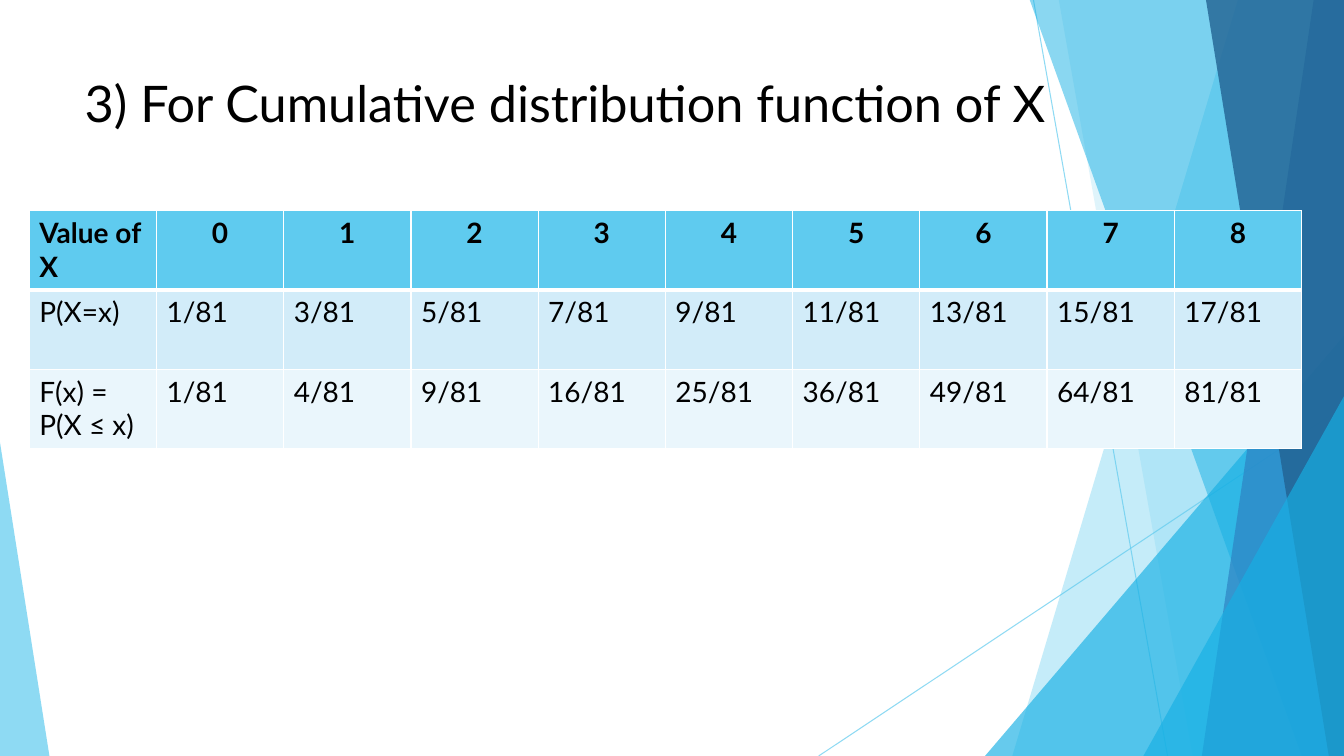
from lxml.etree import SubElement
from pptx import Presentation
from pptx.dml.color import RGBColor
from pptx.enum.shapes import MSO_CONNECTOR, MSO_SHAPE
from pptx.enum.text import MSO_ANCHOR, MSO_AUTO_SIZE, PP_ALIGN
from pptx.oxml.ns import qn
from pptx.util import Inches, Pt

COLORS = {
    "sky": "5FCBEF", "cyan": "17B0E4", "blue": "2E83C3", "navy": "226292",
    "band": "D2ECF9", "pale": "EAF6FC", "white": "FFFFFF", "text": "000000",
}
WIDTH, HEIGHT = 13.33, 7.5


class SlideBuilder:
    def __init__(self, slide, font_name):
        self.slide = slide
        self.shapes = slide.shapes
        self.font_name = font_name

    def paint(self, fill, color, alpha=100):
        fill.solid()
        fill.fore_color.rgb = RGBColor.from_string(COLORS[color])
        if alpha < 100:
            tint = fill._xPr.find(qn("a:solidFill"))[0]
            SubElement(tint, qn("a:alpha"), val=str(alpha * 1000))

    def style_text(self, paragraph, size, bold=False, align=PP_ALIGN.LEFT):
        paragraph.alignment = align
        font = paragraph.font
        font.name, font.size, font.bold = self.font_name, Pt(size), bold
        font.color.rgb = RGBColor.from_string(COLORS["text"])

    def finish(self, shape, color, alpha):
        self.paint(shape.fill, color, alpha)
        shape.line.fill.background()
        shape.shadow.inherit = False

    def ray(self, x1, y1, x2, y2):
        line = self.shapes.add_connector(
            MSO_CONNECTOR.STRAIGHT, *map(Inches, (x1, y1, x2, y2)))
        line.line.width = Pt(0.75)
        self.paint(line.line.fill, "sky", 70)
        SubElement(line.element.spPr, qn("a:effectLst"))

    def panel(self, top_x, bottom_x, color, alpha):
        """Fill from a slanted left edge to the right side of the slide."""
        outline = self.shapes.build_freeform(Inches(top_x), Inches(-0.01))
        corners = [(WIDTH, -0.01), (WIDTH, HEIGHT), (bottom_x, HEIGHT)]
        outline.add_line_segments([(Inches(x), Inches(y)) for x, y in corners])
        self.finish(outline.convert_to_shape(), color, alpha)

    def triangle(self, left, top, width, apex, color, alpha):
        """Stand a triangle on the bottom edge of the slide."""
        shape = self.shapes.add_shape(
            MSO_SHAPE.ISOSCELES_TRIANGLE,
            *map(Inches, (left, top, width, HEIGHT - top)))
        shape.adjustments[0] = apex
        self.finish(shape, color, alpha)

    def title(self, text, left, top, width, height):
        title = self.shapes.title
        title.left, title.top = Inches(left), Inches(top)
        title.width, title.height = Inches(width), Inches(height)
        frame = title.text_frame
        frame.text = text
        frame.word_wrap = True
        frame.auto_size = MSO_AUTO_SIZE.NONE
        frame.vertical_anchor = MSO_ANCHOR.TOP
        self.style_text(frame.paragraphs[0], 36)
        # Bring the title in front of the decoration
        title.element.getparent().append(title.element)

    def cell_borders(self, cell, widths):
        properties = cell._tc.get_or_add_tcPr()
        for side, width in widths.items():
            border = SubElement(properties, qn(f"a:ln{side}"), w=str(Pt(width)))
            fill = SubElement(border, qn("a:solidFill"))
            SubElement(fill, qn("a:srgbClr"), val=COLORS["white"])

    def table(self, rows, fills, left, top, width, height):
        table = self.shapes.add_table(
            len(rows), len(rows[0]),
            *map(Inches, (left, top, width, height))).table
        table.horz_banding = False
        for r, row in enumerate(rows):
            for c, text in enumerate(row):
                cell = table.cell(r, c)
                cell.text = text
                header = r == 0
                align = PP_ALIGN.CENTER if header and c else PP_ALIGN.LEFT
                self.style_text(cell.text_frame.paragraphs[0], 20, header, align)
                self.cell_borders(cell, {
                    "L": 1, "R": 1,
                    "T": 3 if r == 1 else 1, "B": 3 if header else 1})
                self.paint(cell.fill, fills[r])


def main():
    deck = Presentation()
    deck.slide_width, deck.slide_height = Inches(WIDTH), Inches(HEIGHT)
    builder = SlideBuilder(deck.slides.add_slide(deck.slide_layouts[5]), "Lato")

    # Faceted decoration, from back to front
    builder.ray(10.25, 0, 11.58, HEIGHT)
    builder.ray(WIDTH, 4.03, 8.12, HEIGHT)
    builder.panel(12.28, 10.04, "sky", 36)
    builder.panel(10.5, 11.83, "sky", 20)
    builder.triangle(9.77, 3.33, 3.56, 1, "cyan", 66)
    builder.panel(10.21, 12.91, "cyan", 50)
    builder.panel(13.03, 11.92, "blue", 70)
    builder.panel(11.96, 13.18, "navy", 80)
    builder.triangle(11.34, 3.93, 1.99, 1, "cyan", 66)
    builder.triangle(0, 4.39, 0.49, 0, "sky", 70)

    builder.title("3) For Cumulative distribution function of X",
                  0.74, 0.67, 10.04, 4.88)

    # Probabilities are odd numbers over 81, so their sums are squares
    values = range(9)
    distribution = [
        ["Value of X", *(str(x) for x in values)],
        ["P(X=x)", *(f"{2 * x + 1}/81" for x in values)],
        ["F(x) = P(X ≤ x)", *(f"{(x + 1) ** 2}/81" for x in values)],
    ]
    builder.table(distribution, ["sky", "band", "pale"], 0.29, 2.09, 12.62, 2.36)

    deck.save("out.pptx")


if __name__ == "__main__":
    main()
